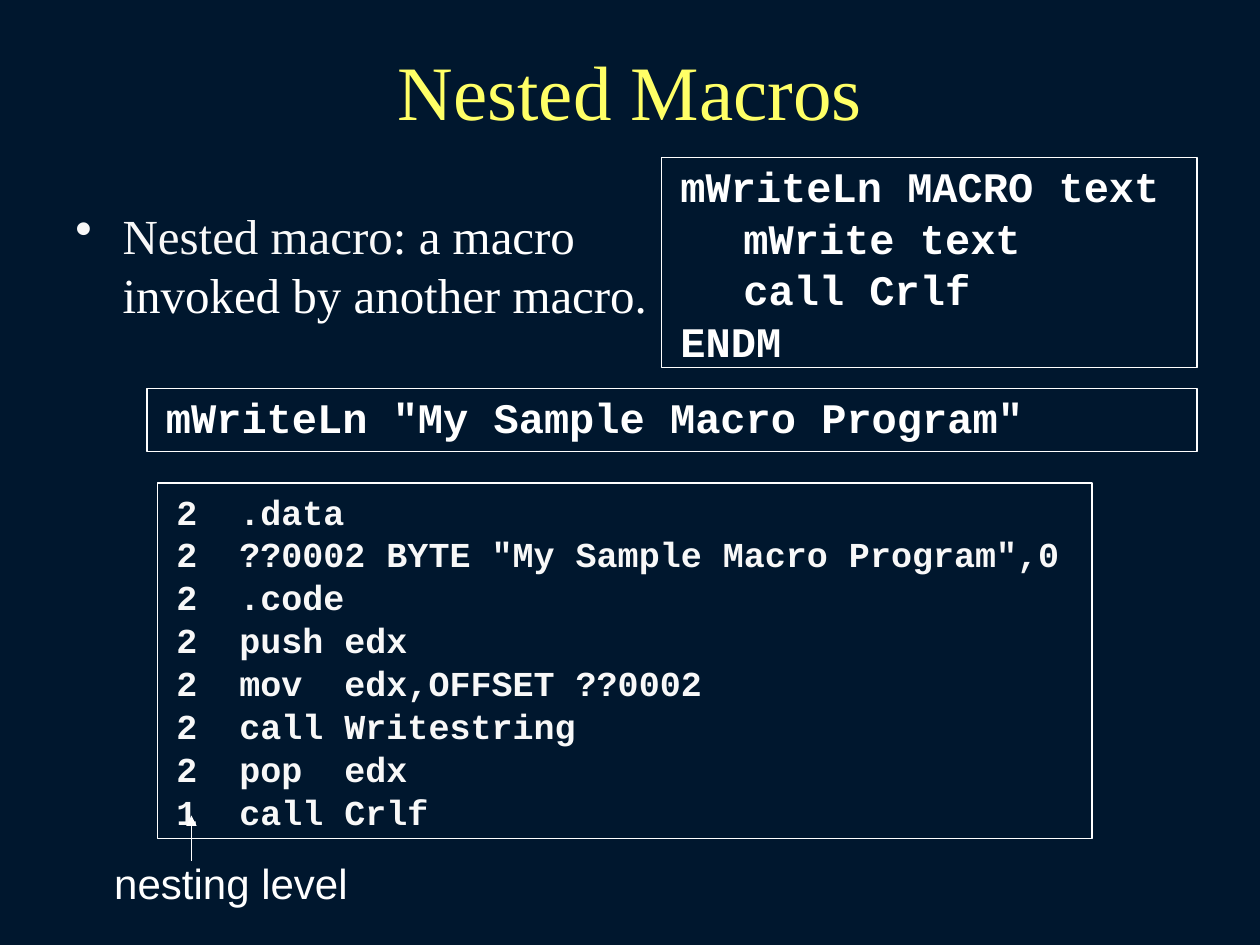
from dataclasses import dataclass

import lxml.etree
import pptx
import pptx.dml.color
import pptx.enum.shapes
import pptx.enum.text
import pptx.oxml.ns
import pptx.util

Pt = pptx.util.Pt
qn = pptx.oxml.ns.qn
RGBColor = pptx.dml.color.RGBColor
PP_ALIGN = pptx.enum.text.PP_ALIGN
MSO_ANCHOR = pptx.enum.text.MSO_ANCHOR

NAVY = RGBColor(0x00, 0x17, 0x2E)
YELLOW = RGBColor(0xFF, 0xFF, 0x66)
WHITE = RGBColor(0xFF, 0xFF, 0xFF)
OFF_WHITE = RGBColor(0xF8, 0xF8, 0xF8)

CODE_TAB = Pt(36)
LINE_WIDTH = Pt(0.75)


@dataclass(frozen=True)
class CodeBox:
    left: float
    top: float
    width: float
    height: float
    size: float
    color: RGBColor
    lines: tuple[str, ...]


CODE_BOXES = (
    CodeBox(378, 90, 306, 120, 24, WHITE,
            ("mWriteLn MACRO text", "\tmWrite text", "\tcall Crlf", "ENDM")),
    CodeBox(84, 222, 600, 36, 24, WHITE,
            ('mWriteLn "My Sample Macro Program"',)),
    CodeBox(90, 276, 534, 203, 20, OFF_WHITE,
            ("2\t.data",
             '2\t??0002 BYTE "My Sample Macro Program",0',
             "2\t.code",
             "2\tpush edx",
             "2\tmov  edx,OFFSET ??0002",
             "2\tcall Writestring",
             "2\tpop  edx",
             "1\tcall Crlf")),
)


def set_font(paragraph, name: str, size: float, color: RGBColor, bold: bool = False) -> None:
    font = paragraph.font
    font.name, font.size, font.bold = name, Pt(size), bold
    font.color.rgb = color


def set_frame(frame, horizontal: float, vertical: float, anchor=MSO_ANCHOR.TOP) -> None:
    """Set wrapping, anchor and insets of a text frame."""
    frame.word_wrap = True
    frame.auto_size = pptx.enum.text.MSO_AUTO_SIZE.NONE
    frame.vertical_anchor = anchor
    frame.margin_left = frame.margin_right = Pt(horizontal)
    frame.margin_top = frame.margin_bottom = Pt(vertical)


def add_title(slide) -> None:
    title = slide.shapes.title
    title.left, title.top, title.width, title.height = Pt(36), Pt(18), Pt(648), Pt(66)
    set_frame(title.text_frame, 7.2, 3.6, MSO_ANCHOR.MIDDLE)
    title.text_frame.text = "Nested Macros"
    paragraph = title.text_frame.paragraphs[0]
    paragraph.alignment = PP_ALIGN.CENTER
    set_font(paragraph, "Times New Roman", 44, YELLOW)


def add_definition(slide) -> None:
    frame = slide.shapes.add_textbox(Pt(36), Pt(114), Pt(349), Pt(105)).text_frame
    set_frame(frame, 7.2, 3.6)
    paragraph = frame.paragraphs[0]
    properties = paragraph._p.get_or_add_pPr()
    properties.set("marL", str(Pt(27)))
    properties.set("indent", str(-Pt(27)))
    bullet_color = lxml.etree.SubElement(properties, qn("a:buClr"))
    lxml.etree.SubElement(bullet_color, qn("a:srgbClr"), val=str(OFF_WHITE))
    lxml.etree.SubElement(properties, qn("a:buChar"), char="•")
    set_font(paragraph, "Times New Roman", 28, WHITE)
    term = paragraph.add_run()
    term.text = "Nested macro"
    term.font.color.rgb = OFF_WHITE
    paragraph.add_run().text = ": a macro invoked by another macro."


def add_code_box(slide, box: CodeBox) -> None:
    shape = slide.shapes.add_shape(
        pptx.enum.shapes.MSO_SHAPE.RECTANGLE,
        Pt(box.left), Pt(box.top), Pt(box.width), Pt(box.height))
    shape.shadow.inherit = False
    shape.fill.background()
    shape.line.color.rgb = WHITE
    shape.line.width = LINE_WIDTH
    frame = shape.text_frame
    set_frame(frame, 10.8, 14.4)
    for index, line in enumerate(box.lines):
        paragraph = frame.add_paragraph() if index else frame.paragraphs[0]
        paragraph.text = line
        paragraph.alignment = PP_ALIGN.LEFT
        paragraph.line_spacing = 0.5
        paragraph.space_before = Pt(box.size * 0.625 if index else 0)
        tabs = lxml.etree.SubElement(paragraph._p.get_or_add_pPr(), qn("a:tabLst"))
        lxml.etree.SubElement(tabs, qn("a:tab"), pos=str(CODE_TAB), algn="l")
        set_font(paragraph, "Courier New", box.size, box.color, bold=True)


def add_nesting_label(slide) -> None:
    frame = slide.shapes.add_textbox(Pt(18), Pt(479), Pt(228), Pt(50)).text_frame
    set_frame(frame, 7.2, 10.8)
    paragraph = frame.paragraphs[0]
    paragraph.text = "nesting level"
    paragraph.alignment = PP_ALIGN.CENTER
    set_font(paragraph, "Arial", 24, WHITE)


def add_nesting_arrow(slide) -> None:
    arrow = slide.shapes.add_connector(
        pptx.enum.shapes.MSO_CONNECTOR.STRAIGHT, Pt(109.4), Pt(492), Pt(109.4), Pt(466))
    arrow.line.color.rgb = WHITE
    arrow.line.width = LINE_WIDTH
    lxml.etree.SubElement(arrow.line._get_or_add_ln(), qn("a:tailEnd"), type="triangle")
    lxml.etree.SubElement(arrow._element.spPr, qn("a:effectLst"))


def main() -> None:
    presentation = pptx.Presentation()
    presentation.slide_width, presentation.slide_height = Pt(720), Pt(540)
    slide = presentation.slides.add_slide(presentation.slide_layouts[5])
    slide.background.fill.solid()
    slide.background.fill.fore_color.rgb = NAVY
    add_title(slide)
    add_definition(slide)
    for box in CODE_BOXES:
        add_code_box(slide, box)
    add_nesting_label(slide)
    add_nesting_arrow(slide)
    presentation.save("out.pptx")


if __name__ == "__main__":
    main()
